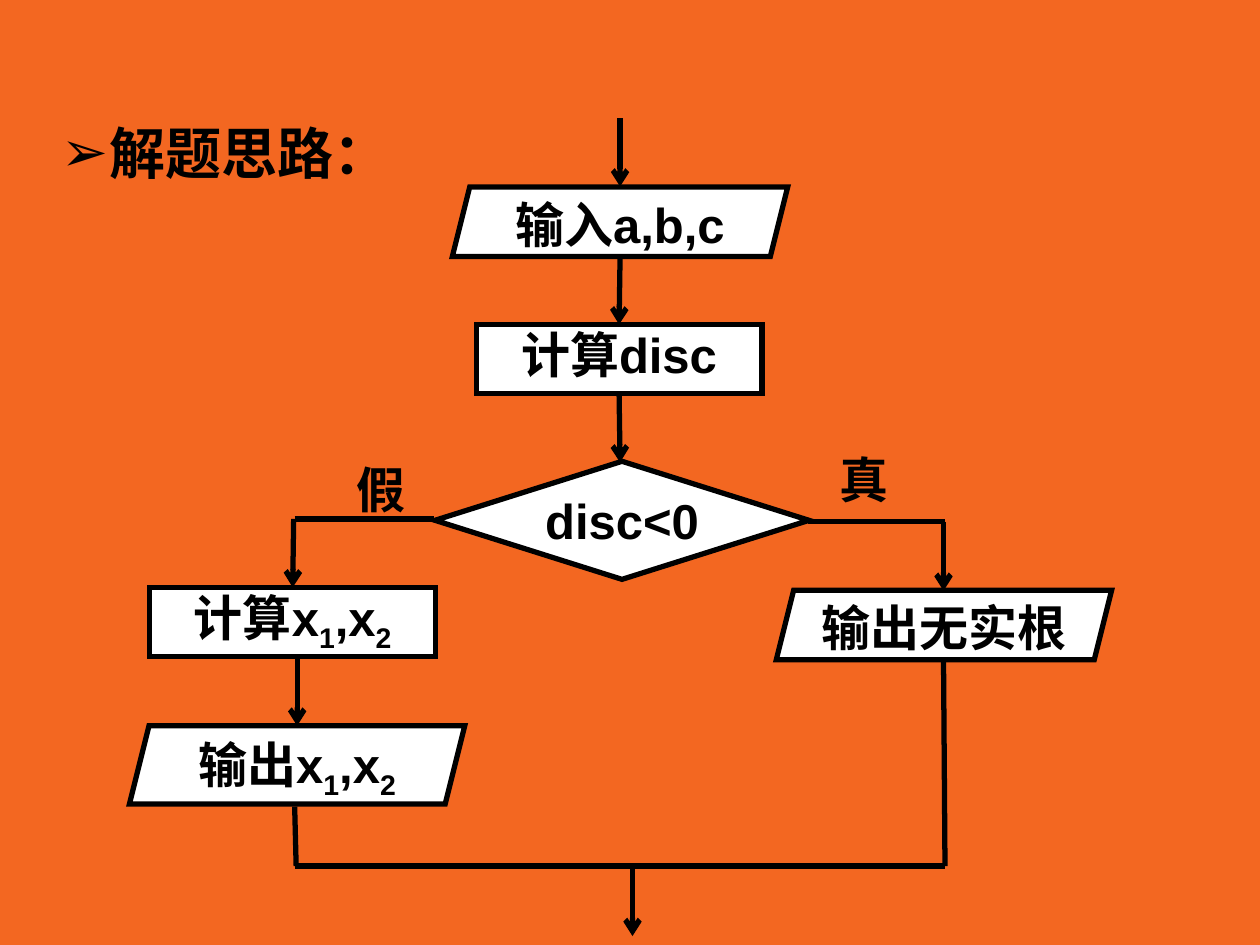
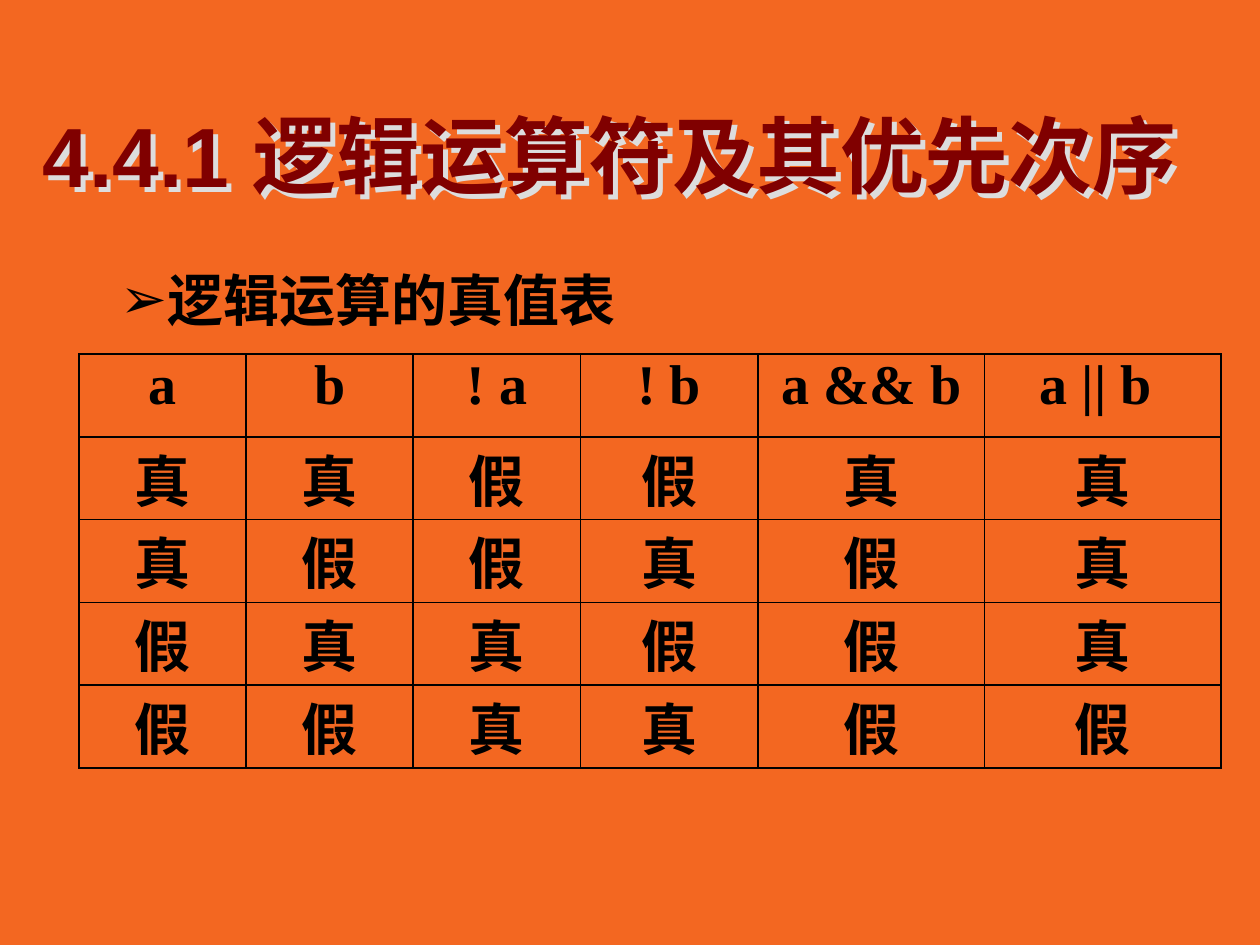
from dataclasses import dataclass

from lxml import etree
from pptx import Presentation
from pptx import util as u
from pptx.dml.color import RGBColor
from pptx.enum import lang, shapes, text
from pptx.oxml import parse_xml
from pptx.oxml.ns import nsdecls, qn


@dataclass(frozen=True)
class Theme:
    background: RGBColor = RGBColor(0xF3, 0x67, 0x21)
    ink: RGBColor = RGBColor(0, 0, 0)
    box: RGBColor = RGBColor(0xFF, 0xFF, 0xFF)
    title: RGBColor = RGBColor(0x80, 0, 0)
    title_shadow: RGBColor = RGBColor(0xDD, 0xDD, 0xDD)
    sans: str = "Arial"
    heading: str = "DejaVu Sans"
    serif: str = "Times New Roman"
    title_size: int = 48
    body_size: int = 32
    flow_size: int = 28
    line_width: int = 3


theme = Theme()


def format_runs(paragraph, size, font=theme.sans, color=theme.ink):
    for run in paragraph.runs:
        run.font.size = u.Pt(size)
        run.font.name = font
        run.font.bold = True
        run.font.color.rgb = color
        run.font.language_id = lang.MSO_LANGUAGE_ID.SIMPLIFIED_CHINESE


def add_heading(slide, wording, left, top, width, height, font):
    shape = slide.shapes.add_textbox(u.Cm(left), u.Cm(top), u.Cm(width), u.Cm(height))
    shape.text_frame.word_wrap = True
    shape.text_frame.text = wording
    paragraph = shape.text_frame.paragraphs[0]
    paragraph.line_spacing = 1.2
    format_runs(paragraph, theme.body_size, font)
    properties = paragraph._p.get_or_add_pPr()
    properties.set("marL", str(u.Cm(0.95)))
    properties.set("indent", str(-u.Cm(0.95)))
    etree.SubElement(properties, qn("a:buFont")).set("typeface", theme.heading)
    etree.SubElement(properties, qn("a:buChar")).set("char", "➢")


presentation = Presentation()
presentation.slide_width = u.Cm(25.4)
presentation.slide_height = u.Cm(19.05)
background = presentation.slide_master.background.fill
background.solid()
background.fore_color.rgb = theme.background

# Slide 1: flowchart of the solution
slide = presentation.slides.add_slide(presentation.slide_layouts[6])
add_heading(slide, "解题思路：", 1, 2, 7.54, 2.18, theme.heading)

# Flowchart boxes; every second text part is a subscript
data = shapes.MSO_SHAPE.PARALLELOGRAM
process = shapes.MSO_SHAPE.FLOWCHART_PROCESS
decision = shapes.MSO_SHAPE.FLOWCHART_DECISION
steps = {
    "input": (data, 9.12, 3.77, 6.76, 1.4, ["输入a,b,c"]),
    "disc": (process, 9.6, 6.54, 5.76, 1.4, ["计算disc"]),
    "test": (decision, 8.77, 9.3, 7.54, 2.38, ["disc<0"]),
    "roots": (process, 3.02, 11.84, 5.76, 1.4, ["计算x", "1", ",x", "2"]),
    "no roots": (data, 15.65, 11.9, 6.76, 1.4, ["输出无实根"]),
    "output": (data, 2.61, 14.63, 6.76, 1.58, ["输出x", "1", ",x", "2"]),
}
boxes = {}
for name, (kind, left, top, width, height, parts) in steps.items():
    shape = slide.shapes.add_shape(kind, u.Cm(left), u.Cm(top), u.Cm(width), u.Cm(height))
    boxes[name] = shape
    shape.shadow.inherit = False
    shape.fill.solid()
    shape.fill.fore_color.rgb = theme.box
    shape.line.color.rgb = theme.ink
    shape.line.width = u.Pt(theme.line_width)
    etree.SubElement(shape.line._get_or_add_ln(), qn("a:miter")).set("lim", "800000")
    frame = shape.text_frame
    frame.word_wrap = False
    frame.vertical_anchor = text.MSO_ANCHOR.TOP
    frame.margin_left = frame.margin_right = frame.margin_top = frame.margin_bottom = 0
    paragraph = frame.paragraphs[0]
    paragraph.alignment = text.PP_ALIGN.CENTER
    for part in parts:
        paragraph.add_run().text = part
    format_runs(paragraph, theme.flow_size)
    for run in paragraph.runs[1::2]:
        run.font._element.set("baseline", "-25000")

# Flow lines: start, end, arrowhead, box joined at start, box joined at end
flows = [
    (12.5, 2.38, 12.5, 3.76, True, None, None),
    (12.5, 5.16, 12.5, 6.54, True, None, "disc"),
    (12.5, 7.94, 12.5, 9.32, True, "disc", None),
    (5.92, 10.46, 5.92, 11.84, True, None, "roots"),
    (19.02, 10.52, 19.02, 11.91, True, None, None),
    (5.99, 13.23, 5.99, 14.63, True, None, None),
    (12.75, 17.5, 12.75, 18.87, True, None, None),
    (5.94, 10.46, 8.74, 10.46, False, None, None),
    (16.28, 10.52, 19.05, 10.52, False, None, None),
    (5.94, 17.46, 19.05, 17.46, False, None, None),
    (19.05, 17.46, 19.02, 13.28, False, None, None),
    (5.97, 17.46, 5.94, 16.26, False, None, None),
]
for x1, y1, x2, y2, arrow, source, target in flows:
    connector = slide.shapes.add_connector(
        shapes.MSO_CONNECTOR.STRAIGHT, u.Cm(x1), u.Cm(y1), u.Cm(x2), u.Cm(y2))
    connector.line.color.rgb = theme.ink
    connector.line.width = u.Pt(theme.line_width)
    if arrow:
        line = connector.line._get_or_add_ln()
        etree.SubElement(line, qn("a:tailEnd")).set("type", "arrow")
    etree.SubElement(connector._element.spPr, qn("a:effectLst"))
    if source:
        connector.begin_connect(boxes[source], 2)
    if target:
        connector.end_connect(boxes[target], 0)

# Branch labels
for label, left, top in [("假", 6.93, 9.13), ("真", 16.67, 8.94)]:
    shape = slide.shapes.add_textbox(u.Cm(left), u.Cm(top), u.Cm(1.4), u.Cm(1.45))
    shape.text_frame.word_wrap = False
    shape.text_frame.text = label
    format_runs(shape.text_frame.paragraphs[0], theme.flow_size)

# Slide 2: truth table
slide = presentation.slides.add_slide(presentation.slide_layouts[5])
title = slide.shapes.title
title.left, title.top, title.width, title.height = u.Cm(0.6), u.Cm(1.96), u.Cm(23.83), u.Cm(2.29)
frame = title.text_frame
frame.text = "4.4.1 逻辑运算符及其优先次序"
frame.auto_size = text.MSO_AUTO_SIZE.NONE
frame.vertical_anchor = text.MSO_ANCHOR.MIDDLE
frame.margin_right = 0
paragraph = frame.paragraphs[0]
paragraph.alignment = text.PP_ALIGN.LEFT
format_runs(paragraph, theme.title_size, color=theme.title)

# An unfilled shape passes its shadow on to its text
title.fill.background()
title._element.spPr.append(parse_xml(
    f'<a:effectLst {nsdecls("a")}><a:outerShdw dist="{u.Pt(4)}" dir="2700000">'
    f'<a:srgbClr val="{theme.title_shadow}"/></a:outerShdw></a:effectLst>'))

# Table values
rows = [
    ["a", "b", "! a", "! b", "a && b", "a || b "],
    "真真假假真真",
    "真假假真假真",
    "假真真假假真",
    "假假真真假假",
]
column_widths = [3.37, 3.37, 3.37, 3.58, 4.57, 4.76]
table = slide.shapes.add_table(
    len(rows), len(column_widths), u.Cm(1.59), u.Cm(7.14),
    u.Cm(sum(column_widths)), u.Cm(8.34)).table
table.first_row = table.horz_banding = False
for column, width in zip(table.columns, column_widths):
    column.width = u.Cm(width)

# Table cells with thin black borders
for row_index, values in enumerate(rows):
    for column_index, value in enumerate(values):
        cell = table.cell(row_index, column_index)
        cell.text_frame.text = value
        cell.margin_left = cell.margin_right = u.Cm(0.18)
        cell.margin_top = cell.margin_bottom = 0
        cell.fill.background()
        paragraph = cell.text_frame.paragraphs[0]
        paragraph.alignment = text.PP_ALIGN.CENTER
        format_runs(paragraph, theme.body_size, theme.serif)
        for position, side in enumerate(["lnL", "lnR", "lnT", "lnB"]):
            cell._tc.get_or_add_tcPr().insert(position, parse_xml(
                f'<a:{side} {nsdecls("a")} w="{u.Pt(1)}"><a:solidFill>'
                f'<a:srgbClr val="{theme.ink}"/></a:solidFill></a:{side}>'))

add_heading(slide, "逻辑运算的真值表", 2.18, 4.95, 12.12, 1.78, theme.sans)

presentation.save("out.pptx")
